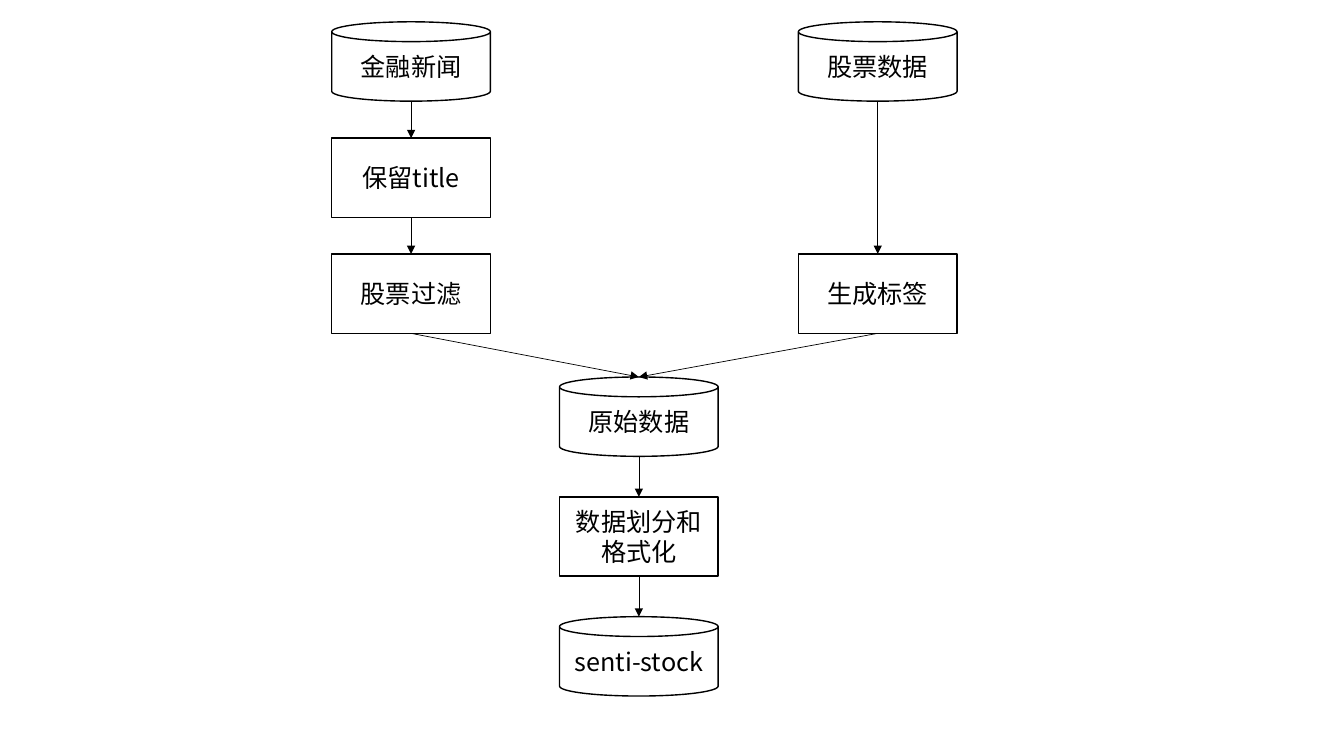
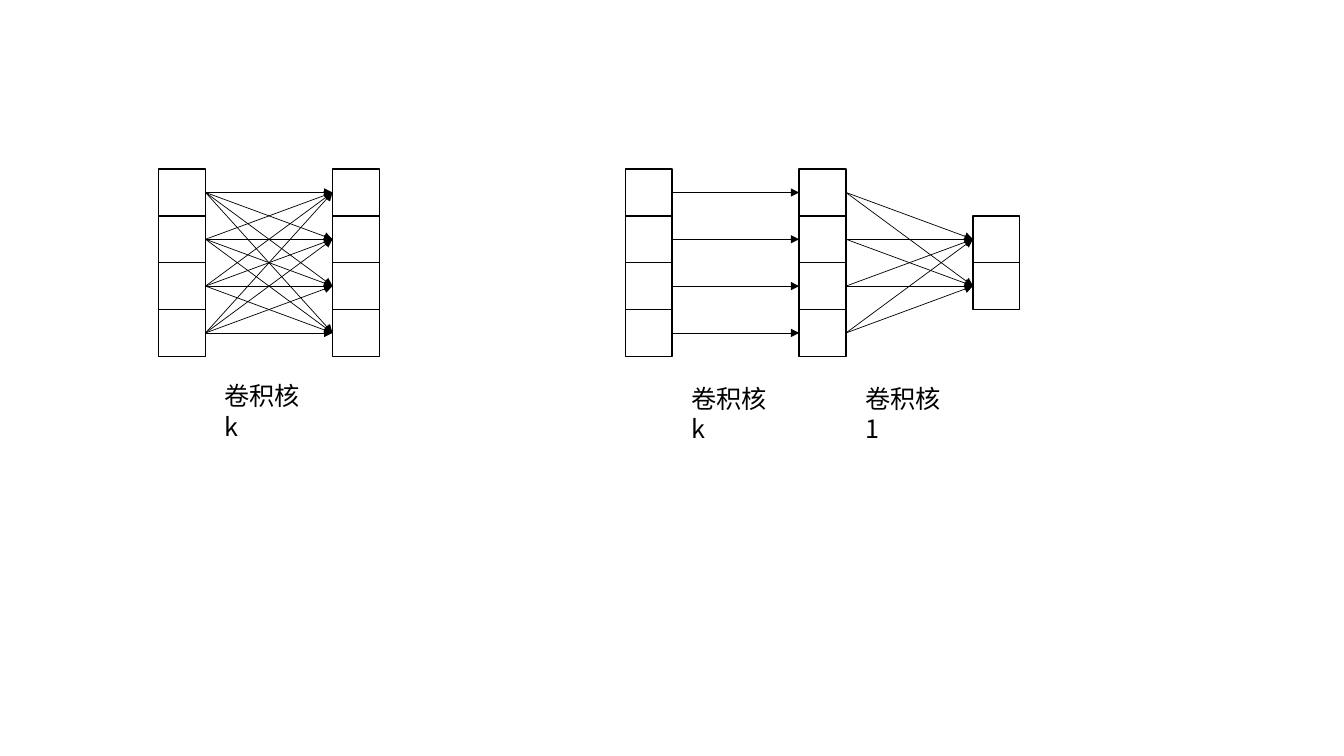
"""Build a data-pipeline flowchart and a convolution comparison as two slides."""
from dataclasses import dataclass
from itertools import product

from lxml import etree
from pptx import Presentation
from pptx.dml.color import RGBColor
from pptx.enum import shapes, text
from pptx.oxml.ns import qn
from pptx.util import Cm, Pt


@dataclass(frozen=True)
class Theme:
    ink: RGBColor = RGBColor(0, 0, 0)
    font: str = "Noto Sans CJK SC"
    size: Pt = Pt(18)
    outline: Pt = Pt(1)
    arrow: Pt = Pt(0.5)


THEME = Theme()
CAN, BOX = shapes.MSO_SHAPE.CAN, shapes.MSO_SHAPE.RECTANGLE

# Sites are numbered by the preset geometry of each shape.
SITES = {
    CAN: {"top": 1, "left": 2, "bottom": 3},
    BOX: {"top": 0, "left": 1, "bottom": 2, "right": 3},
}
ANCHORS = {"top": (0.5, 0), "left": (0, 0.5), "bottom": (0.5, 1), "right": (1, 0.5)}

NEWS_X, MERGED_X, STOCK_X = 8.36, 14.1, 20.12
NODE_WIDTH, NODE_HEIGHT = 4, 2
FLOW_NODES = {
    "news": (CAN, "金融新闻", NEWS_X, 0.55),
    "stock": (CAN, "股票数据", STOCK_X, 0.55),
    "titles": (BOX, "保留title", NEWS_X, 3.48),
    "labels": (BOX, "生成标签", STOCK_X, 6.4),
    "filter": (BOX, "股票过滤", NEWS_X, 6.4),
    "raw": (CAN, "原始数据", MERGED_X, 9.5),
    "split": (BOX, "数据划分和格式化", MERGED_X, 12.52),
    "dataset": (CAN, "senti-stock", MERGED_X, 15.54),
}
FLOW_LINKS = [
    ("news", "titles"), ("titles", "filter"), ("stock", "labels"),
    ("raw", "split"), ("split", "dataset"), ("filter", "raw"), ("labels", "raw"),
]

CELL, COLUMN_PITCH, CELLS_TOP = 1.18, 4.38, 4.26
LABEL_OFFSET, LABEL_WIDTH, LABEL_HEIGHT = 1.41, 2.74, 1.03
NETWORKS = [
    {"left": 4, "cells": [4, 4], "label_top": 9.47,
     "layers": [("卷积核k", "full")]},
    {"left": 15.76, "cells": [4, 4, 2], "label_top": 9.53,
     "layers": [("卷积核k", "one to one"), ("卷积核1", "full")]},
]


def write(shape, content):
    run = shape.text_frame.paragraphs[0].add_run()
    run.text = content
    run.font.name, run.font.size = THEME.font, THEME.size
    run.font.color.rgb = THEME.ink
    etree.SubElement(run.font._element, qn("a:ea"), typeface=THEME.font)


def add_outline(parent, kind, left, top, width, height):
    shape = parent.add_shape(kind, Cm(left), Cm(top), Cm(width), Cm(height))
    shape.shadow.inherit = False
    shape.fill.background()
    shape.line.color.rgb, shape.line.width = THEME.ink, THEME.outline
    return shape


def anchor_point(shape, side):
    across, down = ANCHORS[side]
    return shape.left + int(shape.width * across), shape.top + int(shape.height * down)


def add_arrow(slide, source, target, leave, enter):
    start, end = anchor_point(source, leave), anchor_point(target, enter)
    arrow = slide.shapes.add_connector(shapes.MSO_CONNECTOR.STRAIGHT, *start, *end)
    arrow.begin_connect(source, SITES[source.auto_shape_type][leave])
    arrow.end_connect(target, SITES[target.auto_shape_type][enter])
    arrow.begin_x, arrow.begin_y = start
    arrow.end_x, arrow.end_y = end
    arrow.line.color.rgb, arrow.line.width = THEME.ink, THEME.arrow
    etree.SubElement(arrow.line._get_or_add_ln(), qn("a:tailEnd"), type="triangle")
    etree.SubElement(arrow._element.spPr, qn("a:effectLst"))


def add_label(slide, content, left, top):
    label = slide.shapes.add_textbox(Cm(left), Cm(top), Cm(LABEL_WIDTH), Cm(LABEL_HEIGHT))
    label.text_frame.word_wrap = True
    label.text_frame.auto_size = text.MSO_AUTO_SIZE.SHAPE_TO_FIT_TEXT
    write(label, content)


def add_column(slide, left, count, tallest):
    group = slide.shapes.add_group_shape()
    top = CELLS_TOP + (tallest - count) / 2 * CELL
    return [add_outline(group.shapes, BOX, left, top + row * CELL, CELL, CELL)
            for row in range(count)]


def draw_flow(slide):
    nodes = {}
    for name, (kind, content, left, top) in FLOW_NODES.items():
        nodes[name] = add_outline(slide.shapes, kind, left, top, NODE_WIDTH, NODE_HEIGHT)
        write(nodes[name], content)
    for source, target in FLOW_LINKS:
        add_arrow(slide, nodes[source], nodes[target], "bottom", "top")


def draw_network(slide, network):
    lefts = [network["left"] + i * COLUMN_PITCH for i in range(len(network["cells"]))]
    columns = [add_column(slide, left, count, max(network["cells"]))
               for left, count in zip(lefts, network["cells"])]
    for i, (label, linking) in enumerate(network["layers"]):
        pair_up = product if linking == "full" else zip
        for source, target in pair_up(columns[i], columns[i + 1]):
            add_arrow(slide, source, target, "right", "left")
        add_label(slide, label, lefts[i] + LABEL_OFFSET, network["label_top"])


presentation = Presentation()
presentation.slide_width, presentation.slide_height = Cm(33.87), Cm(19.05)
blank = presentation.slide_layouts[6]
draw_flow(presentation.slides.add_slide(blank))
network_slide = presentation.slides.add_slide(blank)
for network in NETWORKS:
    draw_network(network_slide, network)
presentation.save("out.pptx")
